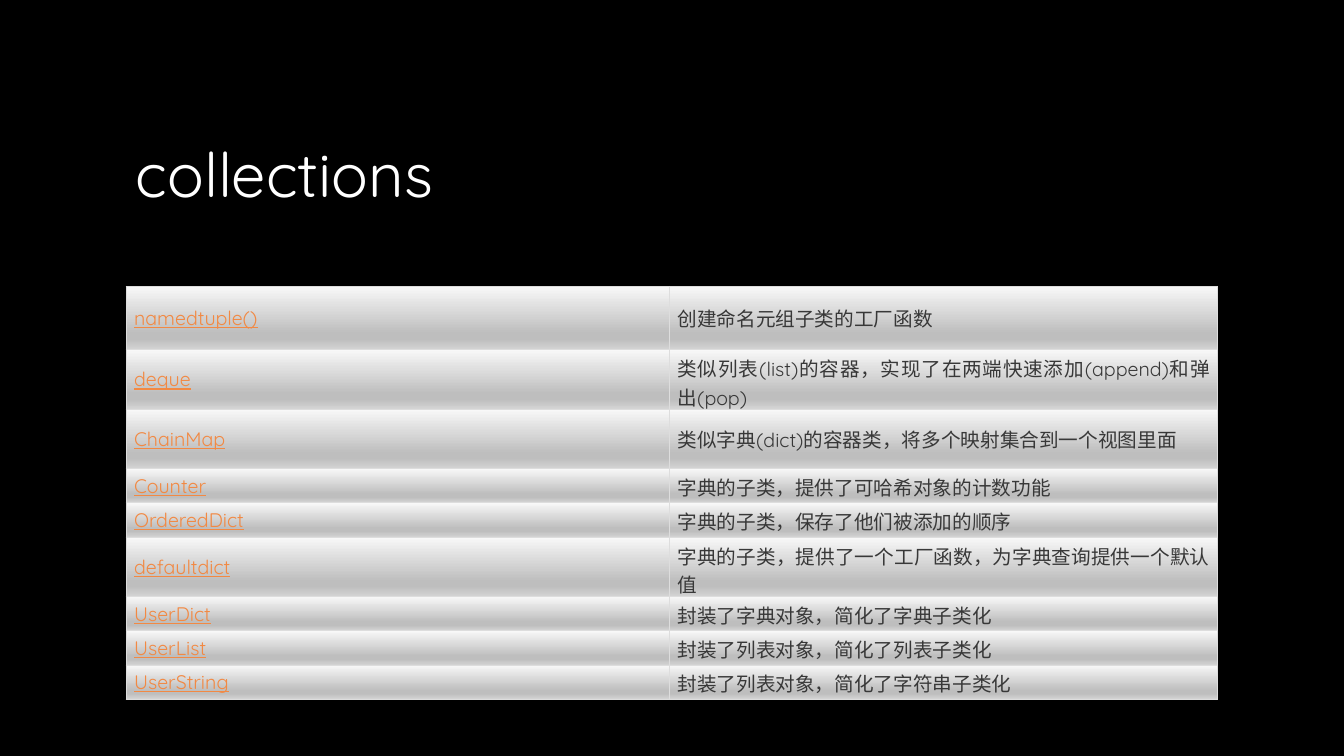
import pptx
import pptx.util
import pptx.dml.color
import pptx.enum.text
import pptx.oxml
import pptx.oxml.ns
from pptx.util import Inches

NAMESPACE = pptx.oxml.ns.nsdecls("a")
MIDDLE = pptx.enum.text.MSO_ANCHOR.MIDDLE
GRADIENT_STOPS = [(0, "F8F8F8"), (74, "BEBEBE"), (83, "BEBEBE"), (100, "D4D4D4")]


def style_run(run, size, color, underline=False):
    run.font.name = "Quicksand"
    run.font.size = pptx.util.Pt(size)
    run.font.color.rgb = pptx.dml.color.RGBColor.from_string(color)
    run.font.underline = underline


def style_cell(cell):
    """Add thin grey borders and a vertical metallic gradient."""
    properties = cell._tc.get_or_add_tcPr()
    for side in ("lnL", "lnR", "lnT", "lnB"):
        properties.append(pptx.oxml.parse_xml(
            f'<a:{side} {NAMESPACE} w="9525"><a:solidFill><a:srgbClr val="DDDDDD"/>'
            f'</a:solidFill></a:{side}>'))
    stops = "".join(f'<a:gs pos="{position * 1000}"><a:srgbClr val="{color}"/></a:gs>'
                    for position, color in GRADIENT_STOPS)
    properties.append(pptx.oxml.parse_xml(
        f'<a:gradFill {NAMESPACE} rotWithShape="1"><a:gsLst>{stops}</a:gsLst>'
        '<a:lin ang="5400000" scaled="0"/></a:gradFill>'))


# Slide with black background
presentation = pptx.Presentation()
presentation.slide_width = Inches(13.33)
presentation.slide_height = Inches(7.5)
slide = presentation.slides.add_slide(presentation.slide_layouts[6])
slide.background.fill.solid()
slide.background.fill.fore_color.rgb = pptx.dml.color.RGBColor.from_string("000000")

# Title
title = slide.shapes.add_textbox(Inches(1.25), Inches(0.67), Inches(10.83), Inches(2.08))
title.text_frame.word_wrap = True
title.text_frame.vertical_anchor = MIDDLE
title.text_frame.text = "collections"
style_run(title.text_frame.paragraphs[0].runs[0], 44, "FFFFFF")

# Table content: row height, type name, description
container_types = [
    (0.63, "namedtuple()", "创建命名元组子类的工厂函数"),
    (0.59, "deque", "类似列表(list)的容器，实现了在两端快速添加(append)和弹出(pop)"),
    (0.59, "ChainMap", "类似字典(dict)的容器类，将多个映射集合到一个视图里面"),
    (0.34, "Counter", "字典的子类，提供了可哈希对象的计数功能"),
    (0.34, "OrderedDict", "字典的子类，保存了他们被添加的顺序"),
    (0.59, "defaultdict", "字典的子类，提供了一个工厂函数，为字典查询提供一个默认值"),
    (0.34, "UserDict", "封装了字典对象，简化了字典子类化"),
    (0.34, "UserList", "封装了列表对象，简化了列表子类化"),
    (0.34, "UserString", "封装了列表对象，简化了字符串子类化"),
]

# Table of container types
types_table = slide.shapes.add_table(
    len(container_types), 2, Inches(1.25), Inches(2.84), Inches(10.83), Inches(4.1)).table
types_table.first_row = False
types_table.horz_banding = False
types_table.columns[0].width = Inches(5.39)
types_table.columns[1].width = Inches(5.44)

for row, (height, name, description) in enumerate(container_types):
    types_table.rows[row].height = Inches(height)
    for column, (text, color, underline) in enumerate(
            [(name, "F28943", True), (description, "383838", False)]):
        cell = types_table.cell(row, column)
        cell.vertical_anchor = MIDDLE
        cell.margin_left = cell.margin_right = Inches(0.08)
        cell.margin_top = cell.margin_bottom = Inches(0.04)
        cell.text_frame.text = text
        paragraph = cell.text_frame.paragraphs[0]
        paragraph.alignment = pptx.enum.text.PP_ALIGN.JUSTIFY
        style_run(paragraph.runs[0], 14, color, underline)
        style_cell(cell)

presentation.save("out.pptx")
